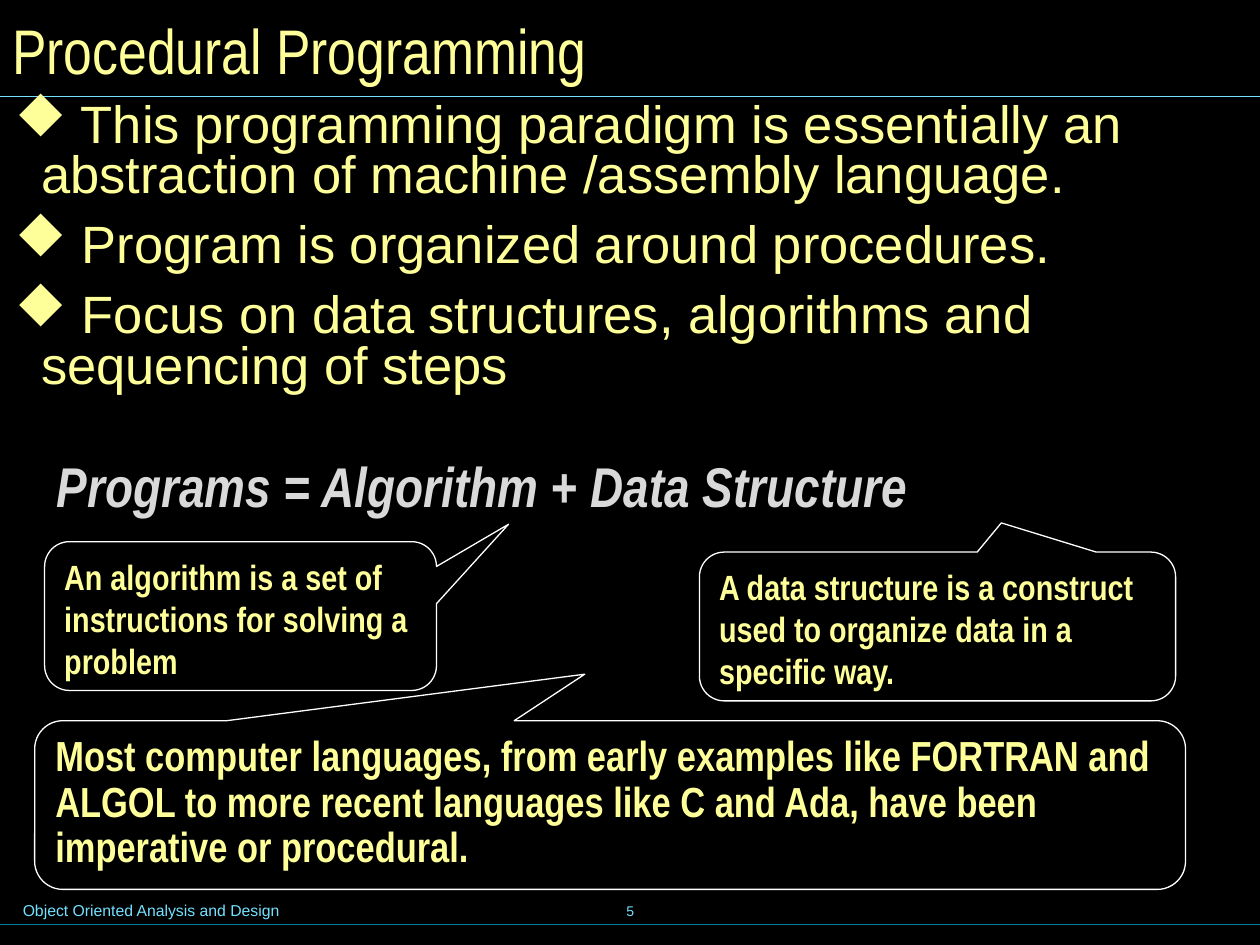
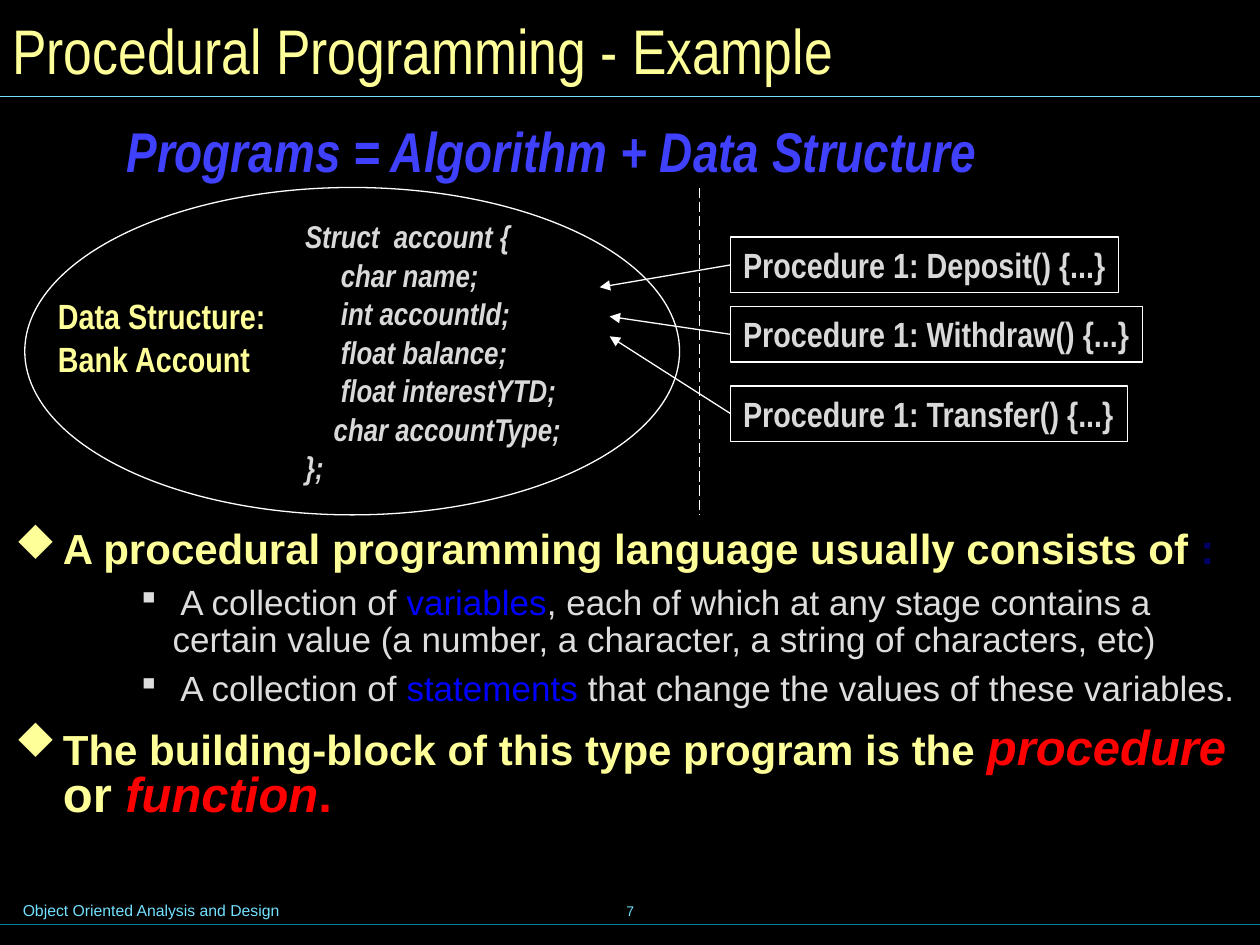
from lxml.etree import SubElement as Sub
from pptx import Presentation
from pptx.dml.color import RGBColor as Rgb
from pptx.enum.dml import MSO_LINE as Dash
from pptx.enum.shapes import MSO_CONNECTOR as Link, MSO_SHAPE as Kind
from pptx.enum.text import MSO_ANCHOR as Anchor, MSO_AUTO_SIZE as Fit, PP_ALIGN as Align
from pptx.oxml.ns import qn
from pptx.util import Cm, Pt

# Shared colours and text looks
YELLOW, GREY, WHITE, CYAN = "FFFF99", "D9D9D9", "FFFFFF", "73E1FF"
TEAL, BLUE, RED, PALE = "007E9F", "0000FF", "FF0000", "DDDDDD"
NARROW = "Arial Narrow"
WIDE = 25.4
HEAD = dict(name=NARROW, size=36, color=YELLOW)
FOOT = dict(name="Arial", size=9, color=CYAN)
NUM = dict(FOOT, size=8)
NOTE = dict(name=NARROW, size=20, color=YELLOW, bold=True)
MOST = dict(NOTE, size=24)
PROC = dict(NOTE, color=GREY)
CODE = dict(PROC, size=18, italic=True)
SUM = dict(CODE, size=32)

# Bullets: Wingdings "u" is a diamond, "§" a small square
DIAMOND = dict(char="u", tint=YELLOW)
SQUARE = dict(char="§", tint=PALE, left=3.18, hang=0.64)

# Paragraph spacing
TIGHT = dict(line_spacing=0.9)
LIST = dict(line_spacing=0.8, space_before=Pt(11.2))
LINES = dict(line_spacing=0.5, space_before=Pt(11.2))
LABEL = dict(line_spacing=0.5, space_before=Pt(12.5))
TOP = dict(line_spacing=0.8, space_before=Pt(9))
LAST = dict(line_spacing=0.8, space_before=Pt(10.5))
SUBS = dict(line_spacing=0.87, space_before=Pt(7.5), level=1)

# Content
FOOTER = "Object Oriented Analysis and Design"
FORMULA = "Programs = Algorithm + Data Structure"
POINTS = [
    " This programming paradigm is essentially an abstraction of machine /assembly language.",
    " Program is organized around procedures.",
    " Focus on data structures, algorithms and sequencing of steps",
]
CALLS = [  # text, place, tail and corner, look, spacing
    ("An algorithm is a set of instructions for solving a problem",
     (0.9, 10.92, 7.9, 3), (0.684, -0.617, 0.167), NOTE, {}),
    ("A data structure is a construct used to organize data in a specific way.",
     (14.1, 11.13, 9.6, 3), (0.134, -0.696, 0.167), NOTE, {}),
    ("Most computer languages, from early examples like FORTRAN and ALGOL to more "
     "recent languages like C and Ada, have been imperative or procedural.",
     (0.7, 14.53, 23.2, 3.4), (-0.022, -0.776, 0.167), MOST, TIGHT),
]
STRUCT = [
    "Struct  account {",
    "     char name;",
    "     int accountId;",
    "     float balance;",
    "     float interestYTD;",
    "    char accountType;",
    "};",
]
PROCS = [  # name, top, width, arrow tip
    ("Deposit", 4.78, 7.82, (12.09, 5.79)),
    ("Withdraw", 6.18, 8.31, (12.29, 6.38)),
    ("Transfer", 7.78, 8, (12.29, 6.78)),
]
BIG = dict(size=28, color=RED, italic=True)
MAIN = dict(name="Arial", size=24, color=YELLOW, bold=True)
MINOR = dict(name="Arial", size=20, color=PALE)
OUTER = dict(DIAMOND, left=0.97, hang=0.97)
PARTS = [  # runs, look, spacing, bullet
    (["A procedural programming language usually consists of ", (":", dict(color="000066"))],
     MAIN, TOP, OUTER),
    ([" A collection of ", ("variables", dict(color=BLUE)),
      ", each of which at any stage contains a certain value "
      "(a number, a character, a string of characters, etc)"],
     MINOR, SUBS, SQUARE),
    ([" A collection of ", ("statements", dict(color=BLUE)),
      " that change the values of these variables."],
     MINOR, SUBS, SQUARE),
    (["The building-block of this type program is the ", ("procedure ", BIG),
      ("or ", dict(size=28)), ("function", BIG), (".", dict(BIG, italic=False))],
     MAIN, LAST, OUTER),
]


def tone(code):
    return Rgb.from_string(code)


def style(font, look):
    for key, val in look.items():
        if key == "color":
            font.color.rgb = tone(val)
        else:
            setattr(font, key, Pt(val) if key == "size" else val)


def mark(para, char, tint, left, hang):
    """Give a paragraph a coloured bullet and a hanging indent."""
    props = para._p.get_or_add_pPr()
    props.set("marL", str(Cm(left)))
    props.set("indent", str(-Cm(hang)))
    Sub(Sub(props, qn("a:buClr")), qn("a:srgbClr"), val=tint)
    Sub(props, qn("a:buFont"), typeface="Wingdings", pitchFamily="2", charset="2")
    Sub(props, qn("a:buChar"), char=char)


def write(shape, paras, anchor=Anchor.TOP, wrap=True, pad=(0.25, 0.13), align=Align.LEFT):
    """Fill a shape with paragraphs of (runs, look, spacing, bullet)."""
    frame = shape.text_frame
    side, edge = map(Cm, pad)
    form = dict(auto_size=Fit.NONE, word_wrap=wrap, vertical_anchor=anchor,
                margin_left=side, margin_right=side, margin_top=edge, margin_bottom=edge)
    for key, val in form.items():
        setattr(frame, key, val)
    for i, (runs, look, space, bullet) in enumerate(paras):
        para = frame.add_paragraph() if i else frame.paragraphs[0]
        if bullet:
            mark(para, **bullet)
        para.alignment = align
        for key, val in space.items():
            if i or key != "space_before":
                setattr(para, key, val)
        for part in runs:
            text, extra = (part, {}) if isinstance(part, str) else part
            run = para.add_run()
            run.text = text
            style(run.font, {**look, **extra})


def plain(texts, look, space={}, bullet=None):
    return [([text], look, space, bullet) for text in texts]


def label(slide, place, paras, **form):
    write(slide.shapes.add_textbox(*map(Cm, place)), paras, **form)


def outline(slide, kind, place):
    shape = slide.shapes.add_shape(kind, *map(Cm, place))
    shape.shadow.inherit = False
    shape.fill.background()
    shape.line.color.rgb = tone(WHITE)
    shape.line.width = Pt(0.75)
    return shape


def rule(slide, ends, tint=WHITE):
    line = slide.shapes.add_connector(Link.STRAIGHT, *map(Cm, ends))
    line.line.color.rgb = tone(tint)
    line.line.width = Pt(0.75)
    Sub(line._element.spPr, qn("a:effectLst"))
    return line


def start(deck, title, page):
    """Add a slide with the shared background, title, rules and footer."""
    slide = deck.slides.add_slide(deck.slide_layouts[5])
    slide.background.fill.solid()
    slide.background.fill.fore_color.rgb = tone("000000")
    label(slide, (0.21, 18.03, 12.95, 0.64), plain([FOOTER], FOOT))
    label(slide, (8.68, 17.73, 8.05, 1.27), plain([str(page)], NUM),
          anchor=Anchor.MIDDLE, align=Align.CENTER)
    for y, tint in ((18.63, TEAL), (1.94, CYAN)):
        rule(slide, (0, y, WIDE, y), tint)
    head = slide.shapes.title
    for key, val in dict(left=0, top=0, width=WIDE, height=1.98).items():
        setattr(head, key, Cm(val))
    write(head, plain([title], HEAD), anchor=Anchor.MIDDLE)
    return slide


def ideas(deck):
    slide = start(deck, "Procedural Programming", 5)
    look = dict(name="Arial", size=30, color=YELLOW)
    label(slide, (0, 1.93, WIDE, 16),
          plain(POINTS, look, LIST, dict(DIAMOND, left=0.53, hang=0.53)), pad=(0.3, 0.15))
    label(slide, (0.9, 9.12, 22.66, 1.47), plain([FORMULA], SUM, TIGHT))
    for text, place, bends, look, space in CALLS:
        call = outline(slide, Kind.ROUNDED_RECTANGULAR_CALLOUT, place)
        for i, bend in enumerate(bends):
            call.adjustments[i] = bend
        write(call, plain([text], look, space))


def sample(deck):
    slide = start(deck, "Procedural Programming - Example", 7)
    label(slide, (0, 10.59, WIDE, 7.21), PARTS, pad=(0.3, 0.15))
    label(slide, (2.3, 2.38, 19, 1.47), plain([FORMULA], dict(SUM, color="4040FF"), TIGHT))

    # Data structure
    outline(slide, Kind.OVAL, (0.5, 3.78, 13.2, 6.6))
    label(slide, (5.9, 4.58, 7.44, 5.31), plain(STRUCT, CODE, LINES))
    label(slide, (0.92, 6.17, 4.85, 1.55),
          plain(["Data Structure:", "Bank Account"], NOTE, LABEL), wrap=False)
    rule(slide, (14.1, 3.78, 14.1, 10.39)).line.dash_style = Dash.LONG_DASH

    # Procedures that act on it
    for name, top, width, tip in PROCS:
        box = outline(slide, Kind.RECTANGLE, (14.73, top, width, 1.12))
        write(box, plain([f"Procedure 1: {name}() {{...}}"], PROC), wrap=False)
        arrow = rule(slide, (14.73, top + 0.56, *tip))
        arrow.begin_connect(box, 1)
        Sub(arrow.line._get_or_add_ln(), qn("a:tailEnd"), type="triangle")


def main():
    deck = Presentation()
    deck.slide_width, deck.slide_height = Cm(WIDE), Cm(19.05)
    ideas(deck)
    sample(deck)
    deck.save("out.pptx")


if __name__ == "__main__":
    main()
